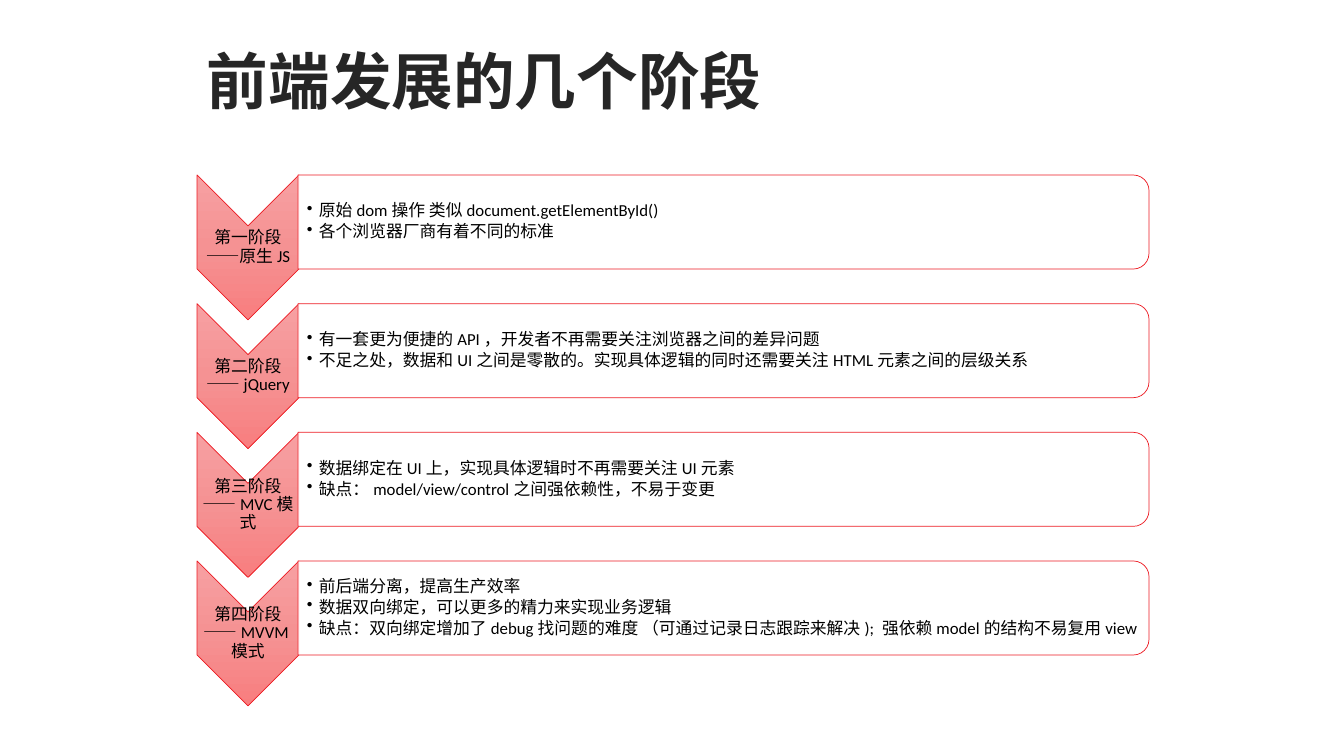
from copy import deepcopy

from lxml import etree
from pptx import Presentation
from pptx.dml.color import RGBColor
from pptx.enum.shapes import MSO_SHAPE
from pptx.enum.text import MSO_ANCHOR, MSO_AUTO_SIZE, PP_ALIGN
from pptx.oxml.ns import qn
from pptx.util import Emu, Pt

TITLE = "前端发展的几个阶段"
STAGES = [
    ("第一阶段——原生JS", [
        "原始dom操作 类似document.getElementById()",
        "各个浏览器厂商有着不同的标准",
    ]),
    ("第二阶段——jQuery", [
        "有一套更为便捷的API，开发者不再需要关注浏览器之间的差异问题",
        "不足之处，数据和UI之间是零散的。实现具体逻辑的同时还需要关注HTML元素之间的层级关系",
    ]),
    ("第三阶段——MVC模式", [
        "数据绑定在UI上，实现具体逻辑时不再需要关注UI元素",
        "缺点：model/view/control之间强依赖性，不易于变更",
    ]),
    ("第四阶段——MVVM模式", [
        "前后端分离，提高生产效率",
        "数据双向绑定，可以更多的精力来实现业务逻辑",
        "缺点：双向绑定增加了debug找问题的难度 （可通过记录日志跟踪来解决); 强依赖model的结构不易复用view",
    ]),
]
COLORS = {
    "title": "262626", "text": "000000", "outline": "ED1C24", "panel": "FFFFFF",
    "light": "F7A0A2", "middle": "F59293", "dark": "F87E7F",
}
CJK = "Noto Sans CJK SC"
CHEVRON = MSO_SHAPE.CHEVRON
PANEL = MSO_SHAPE.ROUND_2_SAME_RECTANGLE
MIDDLE = MSO_ANCHOR.MIDDLE
NO_FIT = MSO_AUTO_SIZE.NONE
LEFT, CENTER = PP_ALIGN.LEFT, PP_ALIGN.CENTER

FIRST_TOP, LAST_TOP = 175, 561
ARROW_LEFT, ARROW_WIDTH, ARROW_HEIGHT = 197, 102, 145
PANEL_LEFT, PANEL_WIDTH, PANEL_HEIGHT = 298, 851, 94
LABEL_DROP, LABEL_HEIGHT = 51, 43
POINTS_DROP, POINTS_WIDTH, POINTS_HEIGHT = 5, 846, 84
HANGING = 12


def px(length):
    return Emu(round(length * 914400 / 100.8))


def rgb(name):
    return RGBColor.from_string(COLORS[name])


def set_all(target, values):
    for key, value in values.items():
        setattr(target, key, value)


def format_frame(frame, left_inset=1):
    set_all(frame, {
        "word_wrap": True, "auto_size": NO_FIT, "vertical_anchor": MIDDLE,
        "margin_left": px(left_inset), "margin_right": px(1),
        "margin_top": px(1), "margin_bottom": px(1),
    })


def write(paragraph, text, font, color, align, space_after):
    run = paragraph.add_run()
    run.text = text
    set_all(paragraph, {"alignment": align, "line_spacing": 0.9, "space_after": Pt(space_after)})
    set_all(run.font, font)
    run.font.color.rgb = rgb(color)
    etree.SubElement(run.font._element, qn("a:ea"), typeface=CJK)


def add_turned(kind, left, top, width, height):
    shape = slide.shapes.add_shape(
        kind, px(left + (width - height) / 2), px(top + (height - width) / 2),
        px(height), px(width))
    shape.rotation = 90
    shape.shadow.inherit = False
    shape.line.color.rgb = rgb("outline")
    shape.line.width = Pt(0.5)
    return shape


def add_arrow(top):
    arrow = add_turned(CHEVRON, ARROW_LEFT, top, ARROW_WIDTH, ARROW_HEIGHT)
    arrow.fill.gradient()
    arrow.fill.gradient_angle = 270
    gradient = arrow._element.spPr.find(qn("a:gradFill"))
    gradient.set("rotWithShape", "0")
    stops = gradient.find(qn("a:gsLst"))
    stops.insert(1, deepcopy(stops[0]))
    for stop, (position, color) in zip(
            arrow.fill.gradient_stops, [(0, "light"), (0.5, "middle"), (1, "dark")]):
        stop.position = position
        stop.color.rgb = rgb(color)


def add_panel(top):
    panel = add_turned(PANEL, PANEL_LEFT, top, PANEL_WIDTH, PANEL_HEIGHT)
    panel.fill.solid()
    panel.fill.fore_color.rgb = rgb("panel")
    white = panel._element.spPr.find(qn("a:solidFill"))[0]
    etree.SubElement(white, qn("a:alpha"), val="90000")


def add_text(left, top, width, height, left_inset=1):
    box = slide.shapes.add_textbox(px(left), px(top), px(width), px(height))
    format_frame(box.text_frame, left_inset)
    return box.text_frame


def add_points(frame, points):
    for index, point in enumerate(points):
        paragraph = frame.add_paragraph() if index else frame.paragraphs[0]
        paragraph.level = 1
        properties = paragraph._p.get_or_add_pPr()
        properties.set("marL", str(px(HANGING)))
        properties.set("indent", str(-px(HANGING)))
        etree.SubElement(properties, qn("a:buChar"), char="•")
        write(paragraph, point, BODY, "text", LEFT, 2)


BODY = {"name": "Calibri", "size": Pt(12)}
HEADING = {"name": CJK, "size": Pt(44), "bold": True}

deck = Presentation()
deck.slide_width, deck.slide_height = px(1344), px(756)
slide = deck.slides.add_slide(deck.slide_layouts[5])

title = slide.shapes.title
set_all(title, {"left": px(197), "top": px(41), "width": px(949), "height": px(88)})
format_frame(title.text_frame, 10)
write(title.text_frame.paragraphs[0], TITLE, HEADING, "title", LEFT, 0)

pitch = (LAST_TOP - FIRST_TOP) / (len(STAGES) - 1)
for row, (stage, points) in enumerate(STAGES):
    top = FIRST_TOP + row * pitch
    add_arrow(top)
    label = add_text(ARROW_LEFT, top + LABEL_DROP, ARROW_WIDTH, LABEL_HEIGHT)
    write(label.paragraphs[0], stage, BODY, "text", CENTER, 4)
    add_panel(top)
    add_points(add_text(PANEL_LEFT, top + POINTS_DROP, POINTS_WIDTH, POINTS_HEIGHT, 9), points)

deck.save("out.pptx")
